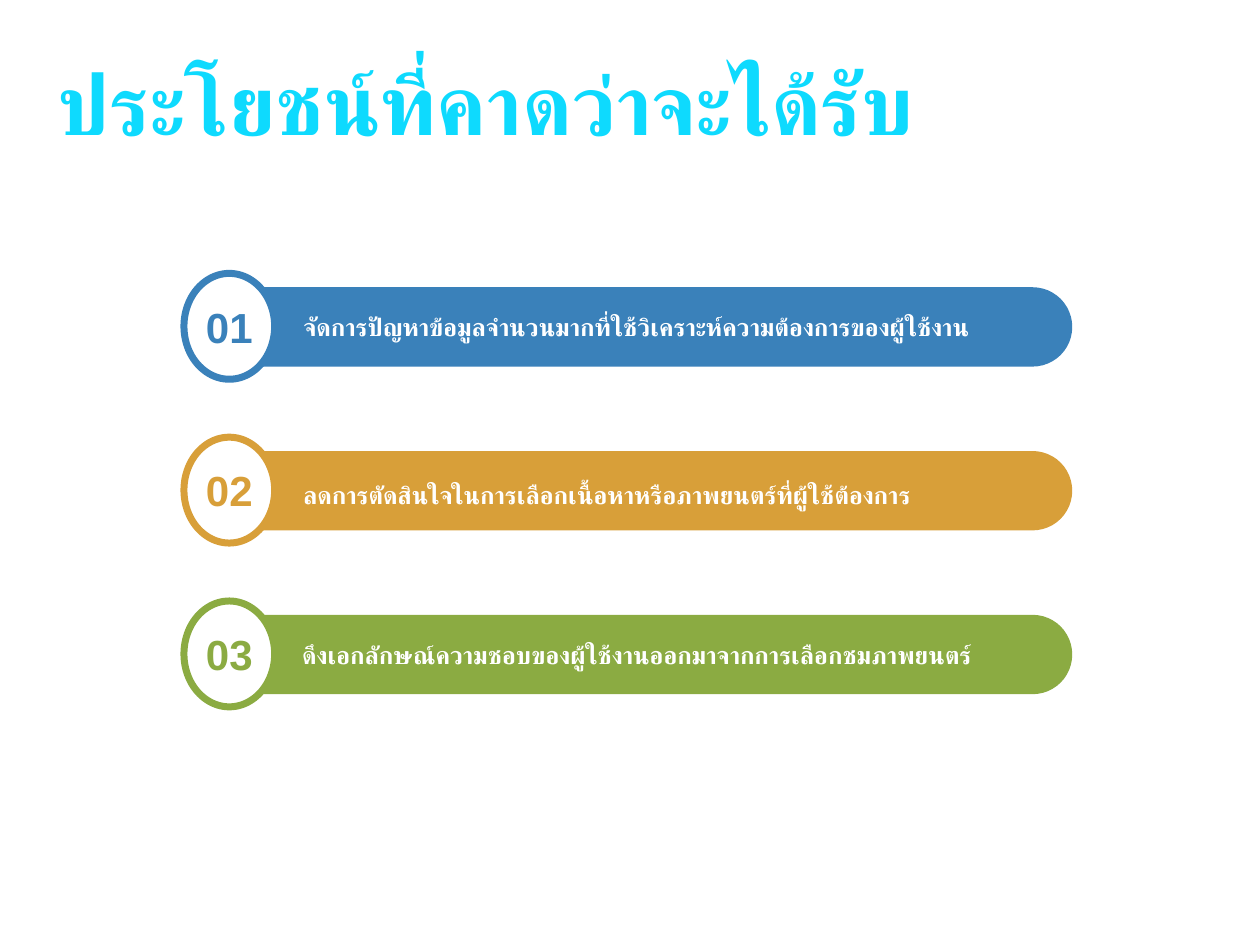
from pptx import Presentation
from pptx import util as u
from pptx.dml.color import RGBColor
from pptx.enum import shapes, text

deck = Presentation()
deck.slide_width, deck.slide_height = u.Inches(10), u.Inches(7.5)
page = deck.slides.add_slide(deck.slide_layouts[6])
col = deck.slide_width / 100
row = deck.slide_height / 75


def grid(left, top, width, height):
    return [round(n) for n in (left * col, top * row, width * col, height * row)]


def write(parent, place, words, size, color, font="Arial", align=text.PP_ALIGN.LEFT,
          anchor=text.MSO_ANCHOR.MIDDLE, fit=text.MSO_AUTO_SIZE.SHAPE_TO_FIT_TEXT, inset=0.05):
    box = parent.shapes.add_textbox(*grid(*place))
    frame = box.text_frame
    frame.word_wrap = True
    frame.auto_size = fit
    frame.vertical_anchor = anchor
    frame.margin_left = frame.margin_right = u.Inches(0.1)
    frame.margin_top = frame.margin_bottom = u.Inches(inset)
    para = frame.paragraphs[0]
    para.alignment = align
    span = para.add_run()
    span.text = words
    span.font.name = font
    span.font.size = u.Pt(size)
    span.font.bold = True
    span.font.color.rgb = RGBColor.from_string(color)


benefits = [
    ("3A81BA", "จัดการปัญหาข้อมูลจำนวนมากที่ใช้วิเคราะห์ความต้องการของผู้ใช้งาน", (23.1, 22.1, 59.8, 7.6)),
    ("D89F39", "ลดการตัดสินใจในการเลือกเนื้อหาหรือภาพยนตร์ที่ผู้ใช้ต้องการ", (23.1, 35.5, 59.8, 7.6)),
    ("8BAB42", "ดึงเอกลักษณ์ความชอบของผู้ใช้งานออกมาจากการเลือกชมภาพยนตร์", (23, 49.8, 59.8, 4.3)),
]

for index, (color, benefit, place) in enumerate(benefits):
    drop = 13 * index
    group = page.shapes.add_group_shape()

    bar = group.shapes.add_shape(shapes.MSO_SHAPE.ROUND_2_SAME_RECTANGLE,
                                 *grid(48.5, drop - 7.5, 6.3, 66.9))
    bar.adjustments[0], bar.adjustments[1] = 0.5, 0
    bar.rotation = 90
    bar.shadow.inherit = False
    bar.fill.solid()
    bar.fill.fore_color.rgb = RGBColor.from_string(color)
    bar.line.fill.background()

    badge = group.shapes.add_shape(shapes.MSO_SHAPE.OVAL, *grid(14, 22.3 + drop, 8.4, 7.2))
    badge.rotation = 270
    badge.shadow.inherit = False
    badge.fill.solid()
    badge.fill.fore_color.rgb = RGBColor.from_string("FFFFFF")
    badge.line.color.rgb = RGBColor.from_string(color)
    badge.line.width = u.Pt(4)

    write(group, (14.6, 23.9 + drop, 7.2, 4), f"{index + 1:02}", 24, color,
          align=text.PP_ALIGN.CENTER, inset=0)
    write(group, place, benefit, 14, "FFFFFF")

write(page, (3.6, 2.9, 82.8, 10.2), "ประโยชน์ที่คาดว่าจะได้รับ", 48, "0EDAFE", font="Calibri",
      anchor=text.MSO_ANCHOR.BOTTOM, fit=text.MSO_AUTO_SIZE.NONE, inset=0.1)

deck.save("out.pptx")
